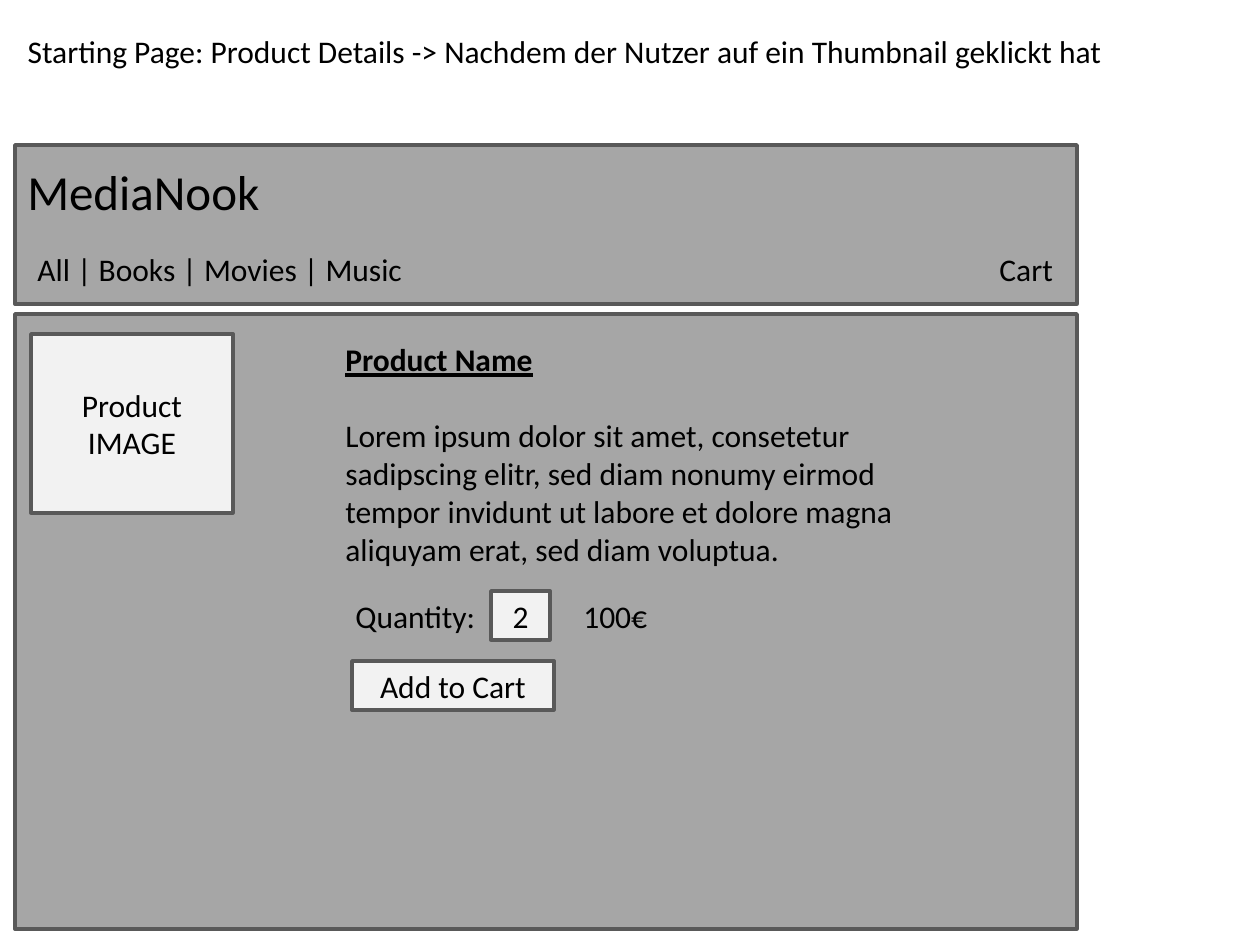
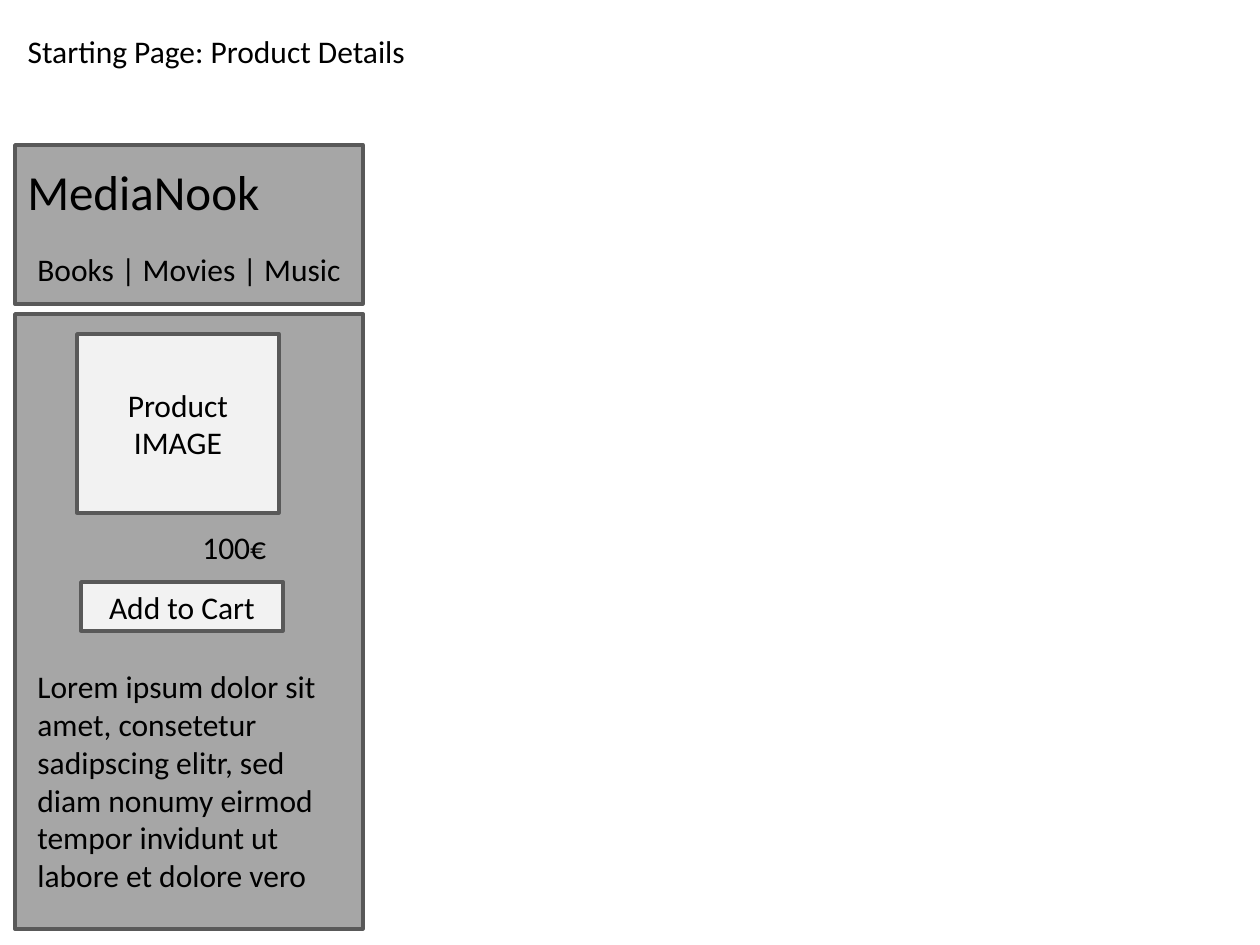
from pptx import Presentation
from pptx.dml.color import RGBColor
from pptx.enum.shapes import MSO_SHAPE
from pptx.enum.text import MSO_ANCHOR, MSO_AUTO_SIZE, PP_ALIGN
from pptx.util import Pt

EMU_PER_PIXEL = 914400 / 126
FONT = "Calibri"
COLORS = {"panel": "A6A6A6", "control": "F2F2F2", "border": "595959", "text": "000000"}

PAGE_LEFT = 15
INNER_LEFT = 25
LINE_HEIGHT = 50
IMAGE_TOP, IMAGE_SIZE = 334, (202, 179)
BUTTON_SIZE = (202, 49)
LOREM = ("Lorem ipsum dolor sit amet, consetetur sadipscing elitr, "
         "sed diam nonumy eirmod tempor invidunt ut labore et dolore ")


def px(*lengths):
    """Turn pixel lengths into EMU."""
    return [round(length * EMU_PER_PIXEL) for length in lengths]


def rgb(name):
    """Look up a colour of the palette."""
    return RGBColor.from_string(COLORS[name])


def write(frame, lines, size=18, align=PP_ALIGN.LEFT):
    """Fill a text frame with one paragraph per line."""
    frame.text = "\n".join(lines)
    for paragraph in frame.paragraphs:
        paragraph.alignment = align
        paragraph.font.size = Pt(size)
        paragraph.font.name = FONT
        paragraph.font.color.rgb = rgb("text")


def add_box(slide, left, top, width, height, fill, lines=()):
    """Add a bordered rectangle with optional centred text."""
    box = slide.shapes.add_shape(MSO_SHAPE.RECTANGLE, *px(left, top, width, height))
    box.shadow.inherit = False
    box.fill.solid()
    box.fill.fore_color.rgb = rgb(fill)
    box.line.color.rgb = rgb("border")
    box.line.width = Pt(2)
    if lines:
        box.text_frame.vertical_anchor = MSO_ANCHOR.MIDDLE
        write(box.text_frame, lines, align=PP_ALIGN.CENTER)


def add_text(slide, left, top, width, height, *lines, size=18, wrap=False):
    """Add a text box and return its text frame."""
    frame = slide.shapes.add_textbox(*px(left, top, width, height)).text_frame
    frame.word_wrap = wrap
    write(frame, lines, size)
    return frame


def add_page(prs, title, title_width, page_width, navigation, navigation_width):
    """Add a slide with its title and the shop page's header and body."""
    slide = prs.slides.add_slide(prs.slide_layouts[5])
    heading = slide.shapes.title
    heading.left, heading.top, heading.width, heading.height = px(
        PAGE_LEFT, 26, title_width, LINE_HEIGHT)
    heading.text_frame.word_wrap = False
    heading.text_frame.auto_size = MSO_AUTO_SIZE.NONE
    heading.text_frame.vertical_anchor = MSO_ANCHOR.TOP
    write(heading.text_frame, [title])

    add_box(slide, PAGE_LEFT, 145, page_width, 159, "panel")
    add_box(slide, PAGE_LEFT, 314, page_width, 615, "panel")
    add_text(slide, PAGE_LEFT, 155, 300, 72, "MediaNook", size=28)
    add_text(slide, INNER_LEFT, 244, navigation_width, LINE_HEIGHT, navigation)
    return slide


def add_product_image(slide, left):
    """Add the placeholder for the product image."""
    add_box(slide, left, IMAGE_TOP, *IMAGE_SIZE, "control", ["Product", "IMAGE"])


def add_price(slide, left, top):
    """Add the price label."""
    add_text(slide, left, top, 89, LINE_HEIGHT, "100€")


def add_cart_button(slide, left, top):
    """Add the button that puts the product in the cart."""
    add_box(slide, left, top, *BUTTON_SIZE, "control", ["Add to Cart"])


def build_wide_page(prs):
    """Build the product details for a wide screen."""
    slide = add_page(
        prs, "Starting Page: Product Details -> Nachdem der Nutzer auf ein Thumbnail geklickt hat",
        1113, 1062, "All | Books | Movies | Music", 401)
    add_text(slide, 987, 244, 79, LINE_HEIGHT, "Cart")
    add_product_image(slide, 31)

    details = add_text(slide, 333, IMAGE_TOP, 630, 242, "Product Name",
                       LOREM + "magna aliquyam erat, sed diam voluptua.", wrap=True)
    name, description = details.paragraphs
    name.font.bold = True
    name.font.underline = True
    description.space_before = Pt(22)

    order_top = 591
    add_text(slide, 343, order_top, 147, LINE_HEIGHT, "Quantity:")
    add_box(slide, 491, order_top, 59, BUTTON_SIZE[1], "control", ["2"])
    add_price(slide, 571, order_top)
    add_cart_button(slide, 352, 661)


def build_narrow_page(prs):
    """Build the product details for a narrow screen."""
    slide = add_page(prs, "Starting Page: Product Details", 407, 348,
                     "Books | Movies | Music", 339)
    add_product_image(slide, 77)
    add_price(slide, 190, 522)
    add_cart_button(slide, 81, 582)
    add_text(slide, INNER_LEFT, 661, 307, 242, LOREM + "vero", wrap=True)


def main():
    """Build and save the presentation."""
    prs = Presentation()
    prs.slide_width, prs.slide_height = px(1260, 945)
    build_wide_page(prs)
    build_narrow_page(prs)
    prs.save("out.pptx")


main()
